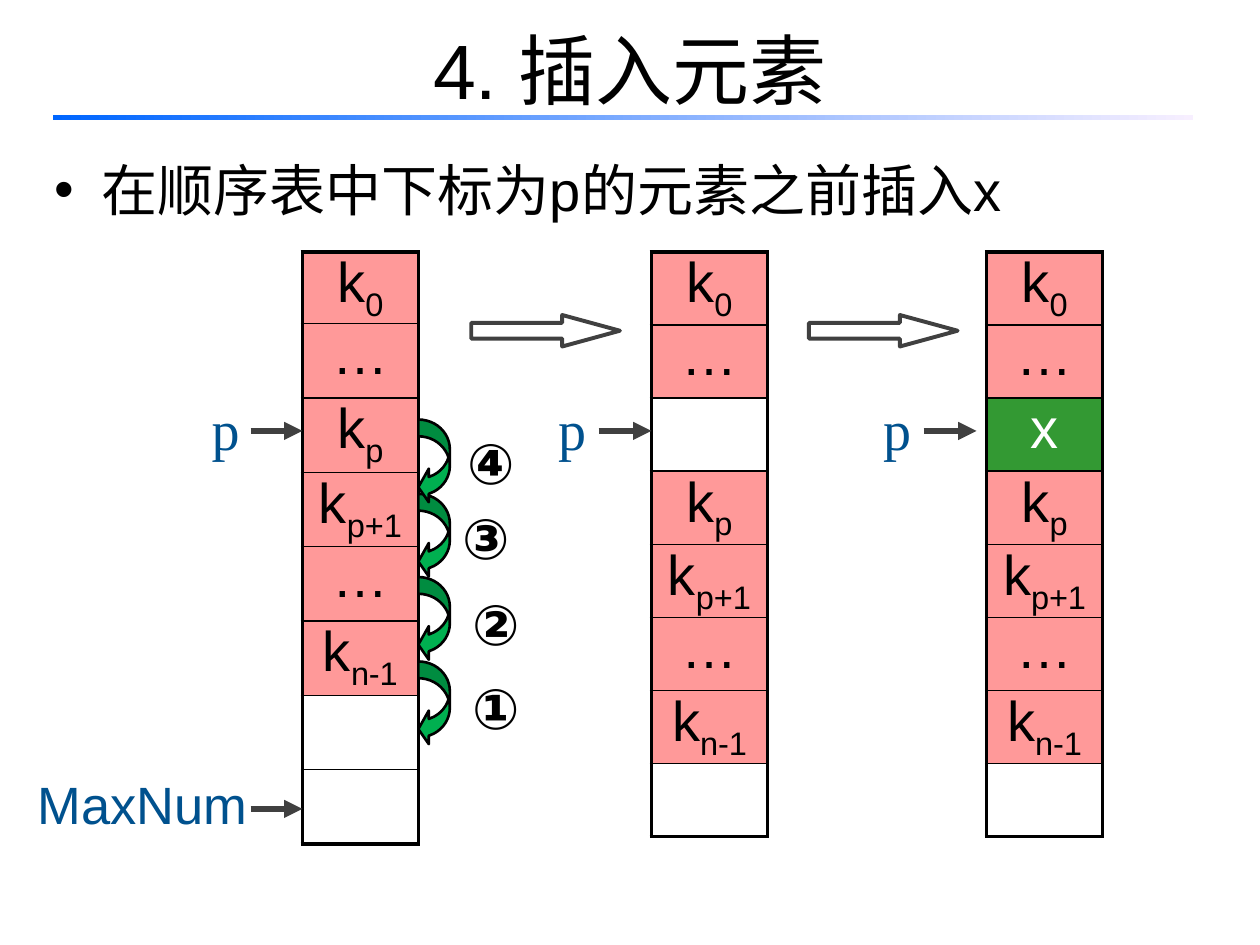
from dataclasses import dataclass

from lxml import etree
from pptx import Presentation
from pptx.dml.color import RGBColor
from pptx.enum.shapes import MSO_CONNECTOR, MSO_SHAPE
from pptx.enum.text import MSO_ANCHOR, MSO_AUTO_SIZE, PP_ALIGN
from pptx.oxml.ns import qn
from pptx.util import Inches, Pt

CENTER, LEFT = PP_ALIGN.CENTER, PP_ALIGN.LEFT
MIDDLE, TOP = MSO_ANCHOR.MIDDLE, MSO_ANCHOR.TOP
NO_FIT = MSO_AUTO_SIZE.NONE
STRAIGHT = MSO_CONNECTOR.STRAIGHT
CURVED, BLOCK, RECT = (MSO_SHAPE.CURVED_LEFT_ARROW, MSO_SHAPE.RIGHT_ARROW,
                       MSO_SHAPE.RECTANGLE)
SANS, SERIF = "Arial", "Times New Roman"
COLORS = {
    "ink": "000000", "white": "FFFFFF", "used": "FF9999", "new": "339933",
    "move": "00B050", "label": "00518E", "arrow": "404040",
    "start": "0066FF", "end": "F7EFFF",
}


@dataclass
class Cell:
    text: str = ""
    sub: str = ""
    fill: str = "white"
    color: str = "ink"


@dataclass
class Column:
    left: float
    first: float
    step: float
    cells: list[Cell]


@dataclass
class Label:
    text: str
    left: float
    top: float
    width: float
    height: float = 0.64
    size: int = 32
    font: str = SANS
    color: str = "ink"
    bold: bool = False
    pad: bool = True


@dataclass
class Pointer:
    start: float
    end: float
    y: float


def rgb(name: str) -> RGBColor:
    return RGBColor.from_string(COLORS[name])


def style(para, size: int, font: str = SANS, color: str = "ink",
          align=CENTER, bold: bool = False) -> None:
    para.alignment = align
    para.space_before = Pt(0)
    para.font.size = Pt(size)
    para.font.name = font
    para.font.bold = bold
    para.font.color.rgb = rgb(color)


def border(cell, side: str, width: float) -> None:
    line = etree.SubElement(cell._tc.get_or_add_tcPr(), qn(f"a:ln{side}"),
                            w=str(Pt(width)))
    solid = etree.SubElement(line, qn("a:solidFill"))
    etree.SubElement(solid, qn("a:srgbClr"), val=COLORS["ink"])


def draw_column(slide, col: Column) -> None:
    count = len(col.cells)
    high = col.first + col.step * (count - 1)
    table = slide.shapes.add_table(count, 1, Inches(col.left), Inches(2),
                                   Inches(0.92), Inches(high)).table
    table.first_row = table.horz_banding = False
    for i, item in enumerate(col.cells):
        table.rows[i].height = Inches(col.step if i else col.first)
        cell = table.cell(i, 0)
        cell.margin_left = cell.margin_right = 0
        cell.margin_top = cell.margin_bottom = 0
        border(cell, "L", 2.25)
        border(cell, "R", 2.25)
        border(cell, "T", 1 if i else 2.25)
        border(cell, "B", 1 if i < count - 1 else 2.25)
        cell.fill.solid()
        cell.fill.fore_color.rgb = rgb(item.fill)
        if not item.text:
            continue
        para = cell.text_frame.paragraphs[0]
        para.add_run().text = item.text
        if item.sub:
            run = para.add_run()
            run.text = item.sub
            run._r.get_or_add_rPr().set("baseline", "-25000")
        style(para, 32, color=item.color)


def draw_label(slide, label: Label) -> None:
    box = slide.shapes.add_textbox(Inches(label.left), Inches(label.top),
                                   Inches(label.width), Inches(label.height))
    frame = box.text_frame
    frame.word_wrap = label.pad
    if not label.pad:
        frame.margin_left = frame.margin_right = 0
        frame.margin_top = frame.margin_bottom = 0
    para = frame.paragraphs[0]
    para.text = label.text
    style(para, label.size, label.font, label.color,
          CENTER if label.pad else LEFT, label.bold)


def draw_pointer(slide, arrow: Pointer) -> None:
    line = slide.shapes.add_connector(STRAIGHT, Inches(arrow.start), Inches(arrow.y),
                                      Inches(arrow.end), Inches(arrow.y))
    line.line.color.rgb = rgb("arrow")
    line.line.width = Pt(3.5)
    etree.SubElement(line.line._get_or_add_ln(), qn("a:tailEnd"), type="triangle")
    etree.SubElement(line._element.spPr, qn("a:effectLst"))


def draw_shape(slide, kind, left: float, top: float, width: float,
               height: float, adjust: tuple[float, ...] = ()):
    shape = slide.shapes.add_shape(kind, Inches(left), Inches(top),
                                   Inches(width), Inches(height))
    shape.shadow.inherit = False
    for i, value in enumerate(adjust):
        shape.adjustments[i] = value
    return shape


def fill_holder(holder, text: str, place: tuple[float, ...], size: int,
                align, anchor):
    holder.left, holder.top, holder.width, holder.height = map(Inches, place)
    frame = holder.text_frame
    frame.auto_size = NO_FIT
    frame.vertical_anchor = anchor
    para = frame.paragraphs[0]
    para.text = text
    style(para, size, align=align)
    return para


def key(sub: str) -> Cell:
    return Cell("k", sub, "used")


def main() -> None:
    deck = Presentation()
    deck.slide_width, deck.slide_height = Inches(10), Inches(7.5)
    slide = deck.slides.add_slide(deck.slide_layouts[1])

    fill_holder(slide.shapes.title, "4. 插入元素", (0.5, -0.08, 9, 1.25),
                44, CENTER, MIDDLE)
    body = fill_holder(slide.placeholders[1], "在顺序表中下标为p的元素之前插入x",
                       (0.33, 1.08, 10, 0.67), 32, LEFT, TOP)
    body.line_spacing = 1.2

    rule = draw_shape(slide, RECT, 0.42, 0.91, 9.05, 0.04)
    rule.line.fill.background()
    rule.fill.gradient()
    rule.fill.gradient_angle = 0
    for stop, name in zip(rule.fill.gradient_stops, ("start", "end")):
        stop.color.rgb = rgb(name)

    dots, empty = Cell("…", fill="used"), Cell()
    head = [key("0"), dots]
    tail = [key("p"), key("p+1"), dots, key("n-1"), empty]
    added = Cell("x", fill="new", color="white")
    for col in (Column(2.4, 0.56, 0.59, head + tail + [empty]),
                Column(5.17, 0.58, 0.58, head + [empty] + tail),
                Column(7.83, 0.58, 0.58, head + [added] + tail)):
        draw_column(slide, col)

    for top in (5.25, 4.58, 3.92, 3.33):
        move = draw_shape(slide, CURVED, 3.32, top, 0.25, 0.67, (0.533, 1.067, 0.333))
        move.fill.solid()
        move.fill.fore_color.rgb = rgb("move")
        move.line.color.rgb = rgb("ink")
        move.line.width = Pt(1.5)

    for left in (3.74, 6.42):
        block = draw_shape(slide, BLOCK, left, 2.5, 1.18, 0.25, (0.5, 1.833))
        block.fill.background()
        block.line.color.rgb = rgb("arrow")
        block.line.width = Pt(2.25)

    steps = [Label("①", 3.65, 5.3, 0.5, bold=True),
             Label("②", 3.65, 4.63, 0.5, bold=True),
             Label("③", 3.67, 4, 0.45, 0.54, bold=True, pad=False),
             Label("④", 3.71, 3.4, 0.45, 0.54, bold=True, pad=False)]
    marks = [Label("p", left, 3.08, 1.08, font=SERIF, color="label")
             for left in (1.25, 4, 6.58)]
    limit = Label("MaxNum", 0.17, 6.08, 1.92, 0.61, 30, color="label")
    for label in steps + marks + [limit]:
        draw_label(slide, label)

    for arrow in (Pointer(1.99, 2.4, 6.42), Pointer(1.99, 2.4, 3.42),
                  Pointer(4.75, 5.17, 3.42), Pointer(7.33, 7.75, 3.42)):
        draw_pointer(slide, arrow)

    deck.save("out.pptx")


if __name__ == "__main__":
    main()
